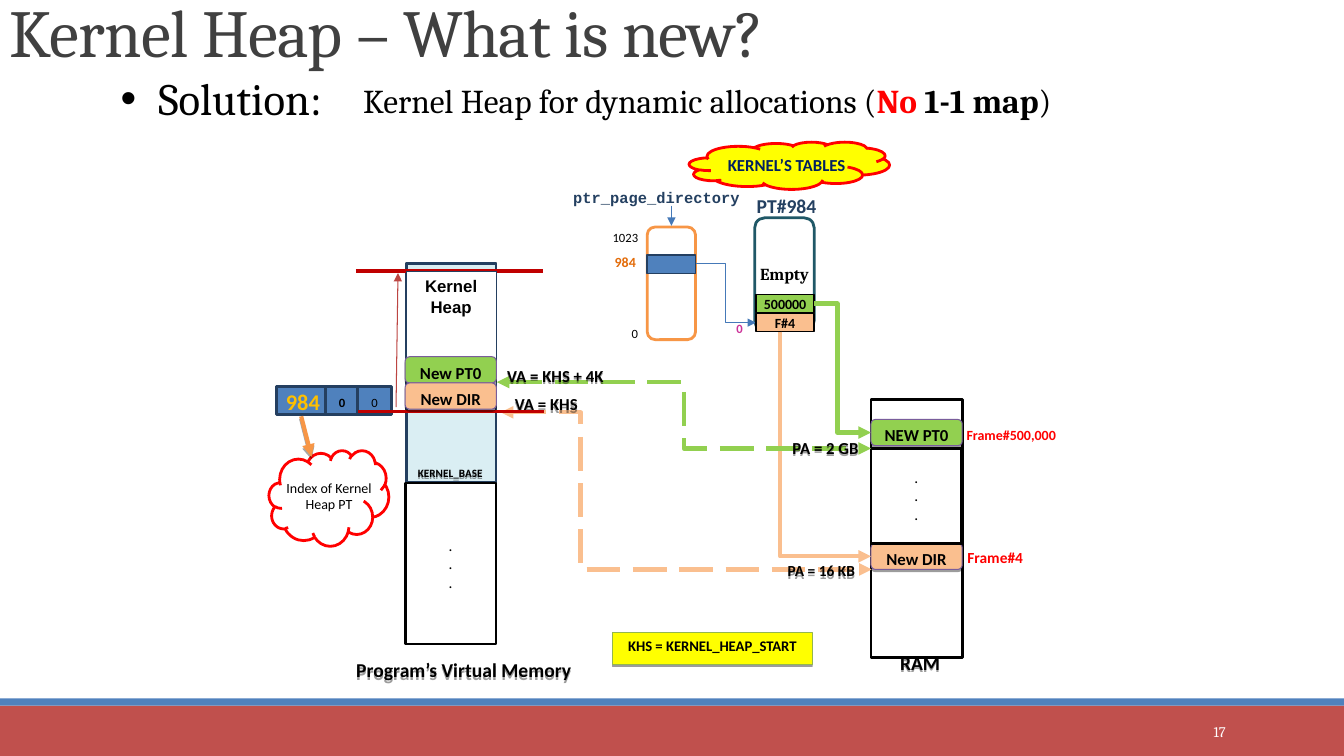
"""Build the slide on the kernel heap, its tables and its frames."""
import pptx
import pptx.util
import pptx.dml.color
import pptx.enum.dml
import pptx.enum.shapes
import pptx.enum.text
import pptx.oxml
import pptx.oxml.ns
from lxml import etree

Cm, Pt = pptx.util.Cm, pptx.util.Pt
KIND = pptx.enum.shapes.MSO_SHAPE
LINK = pptx.enum.shapes.MSO_CONNECTOR
ALIGN = pptx.enum.text.PP_ALIGN
ANCHOR = pptx.enum.text.MSO_ANCHOR
qn = pptx.oxml.ns.qn
INSET = (0.25, 0.13, 0.25, 0.13)
FLAT = (0, 0, 0, 0)
CLOUD_INSET = (-0.08, 0, -0.3, 0)
GREEN, PEACH, BLUE, NAVY = "92D050", "FABF8F", "4F81BD", "243F60"
ROW = 0.46


def color(value):
    """Turn a hex string into a colour."""
    return pptx.dml.color.RGBColor.from_string(value)


def effects(sp, alpha=0, distance=0):
    """Give a shape a downward shadow, or none when alpha is zero."""
    props = sp._element.spPr
    for old in props.findall(qn("a:effectLst")):
        props.remove(old)
    lst = etree.SubElement(props, qn("a:effectLst"))
    if alpha:
        shadow = etree.SubElement(lst, qn("a:outerShdw"), blurRad="0", dist=str(Pt(distance)),
                                  dir="5400000", rotWithShape="0")
        tint = etree.SubElement(shadow, qn("a:srgbClr"), val="000000")
        etree.SubElement(tint, qn("a:alpha"), val=str(alpha * 1000))


def style(r, size, ink, bold=False, font="Calibri"):
    """Format one run."""
    r.font.size, r.font.bold, r.font.name = Pt(size), bold, font
    r.font.color.rgb = color(ink)


def write(sp, text, size, ink="000000", bold=True, font="Calibri",
          align=ALIGN.CENTER, anchor=ANCHOR.TOP, inset=INSET):
    """Set the text of a shape and format its runs."""
    tf = sp.text_frame
    tf.text = text
    tf.word_wrap = True
    tf.vertical_anchor = anchor
    tf.margin_left, tf.margin_top, tf.margin_right, tf.margin_bottom = map(Cm, inset)
    for p in tf.paragraphs:
        p.alignment = align
        for r in p.runs:
            style(r, size, ink, bold, font)


def box(s, at, fill, line=None, width=2, kind=KIND.RECTANGLE):
    """Add a filled preset shape."""
    sp = s.shapes.add_shape(kind, *map(Cm, at))
    sp.shadow.inherit = False
    sp.fill.solid()
    sp.fill.fore_color.rgb = color(fill)
    if line:
        sp.line.color.rgb = color(line)
        sp.line.width = Pt(width)
    else:
        sp.line.fill.background()
    return sp


def label(s, at, text, size, shadow=False, **look):
    """Add a text box."""
    sp = s.shapes.add_textbox(*map(Cm, at))
    write(sp, text, size, **look)
    if shadow:
        effects(sp, 38, 1.6)
    return sp


def page(s, left, top, text, fill):
    """Add a rounded memory page with its name."""
    sp = box(s, (left, top, 2.3, 0.66), fill, "795D9B", 0.75, KIND.ROUNDED_RECTANGLE)
    effects(sp, 38, 1.6)
    write(sp, text, 12, anchor=ANCHOR.MIDDLE, inset=(0.25, 0.13, 0.25, 0))


def block(s, at):
    """Add a stretch of memory with three dots."""
    write(box(s, at, "FFFFFF", "000000"), ".\n.\n.", 11, bold=False, anchor=ANCHOR.MIDDLE)


def cell(s, at, fill, text, size, line="000000", width=1, inset=FLAT, **look):
    """Add a small boxed value."""
    write(box(s, at, fill, line, width), text, size, anchor=ANCHOR.MIDDLE, inset=inset, **look)


def frame(s, at, text, size):
    """Add a red frame number."""
    write(box(s, at, "FFFFFF"), text, size, "FF0000", align=ALIGN.LEFT,
          anchor=ANCHOR.MIDDLE, inset=FLAT)


def cloud(s, at, fill, text, size, **look):
    """Add a red-edged cloud with a remark."""
    sp = box(s, at, fill, "FF0000", 2, KIND.CLOUD)
    write(sp, text, size, anchor=ANCHOR.MIDDLE, inset=CLOUD_INSET, **look)


def link(s, start, end, ink, width, ends=("tailEnd",), bend=None, dashed=False):
    """Add a line, straight or bent at a share of its width."""
    kind = LINK.STRAIGHT if bend is None else LINK.ELBOW
    c = s.shapes.add_connector(kind, *map(Cm, start + end))
    c.line.color.rgb = color(ink)
    c.line.width = Pt(width)
    if dashed:
        c.line.dash_style = pptx.enum.dml.MSO_LINE.LONG_DASH
    for name in ends:
        etree.SubElement(c.line._get_or_add_ln(), qn("a:" + name), type="triangle")
    if bend is not None:
        guides = c._element.spPr.find(qn("a:prstGeom")).get_or_add_avLst()
        etree.SubElement(guides, qn("a:gd"), name="adj1", fmla=f"val {round(bend * 100000)}")
    effects(c)
    return c


def corner(s, start, end, ink, width):
    """Add an arrow that runs down and then right."""
    (x1, y1), (x2, y2) = start, end
    mid_x, mid_y = (x1 + x2) / 2, (y1 + y2) / 2
    half_w, half_h = (y2 - y1) / 2, (x2 - x1) / 2
    c = link(s, (mid_x + half_w, mid_y - half_h), (mid_x - half_w, mid_y + half_h),
             ink, width, bend=0)
    geometry = c._element.spPr.find(qn("a:prstGeom"))
    geometry.set("prst", "bentConnector2")
    geometry.remove(geometry.find(qn("a:avLst")))
    c._element.spPr.find(qn("a:xfrm")).set("rot", "16200000")


def headings(s):
    """Add the bullet and the statement beside it."""
    p = label(s, (2.79, 1.65, 22.86, 1.47), "Solution:", 32, bold=False,
              font="Cambria", align=ALIGN.LEFT).text_frame.paragraphs[0]
    props = p._p.get_or_add_pPr()
    props.set("marL", str(Cm(0.95)))
    props.set("indent", str(-Cm(0.95)))
    etree.SubElement(props, qn("a:buFont"), typeface="Arial")
    etree.SubElement(props, qn("a:buChar"), char="•")
    p = label(s, (8.2, 1.9, 19.25, 1.47), "Kernel Heap for dynamic allocations (", 23.8,
              bold=False, font="Cambria").text_frame.paragraphs[0]
    for text, ink, bold in (("No", "FF0000", True), (" 1-1 map", "000000", True),
                            (")", "000000", False)):
        r = p.add_run()
        r.text = text
        style(r, 23.8, ink, bold, "Cambria")


def memory(s):
    """Add the two memory columns with their captions."""
    box(s, (10.24, 6.65, 2.26, 9.55), "FFFFFF", "000000")
    box(s, (10.24, 6.65, 2.26, 5.51), "DAEEF3", NAVY)
    label(s, (9.8, 11.61, 3.1, 0.61), "KERNEL_BASE", 8, shadow=True)
    box(s, (21.95, 10.06, 2.31, 6.5), "FFFFFF", "000000")
    link(s, (12.62, 10.39), (21.97, 14.35), PEACH, 3, ("headEnd", "tailEnd"), 0.215, True)
    note = box(s, (15.44, 15.93, 5.03, 0.81), "FFFF00", "94B64E", 0.75)
    effects(note, 38, 1.6)
    write(note, "KHS = KERNEL_HEAP_START", 10.5)
    label(s, (12.22, 9.8, 3.1, 0.61), "VA = KHS", 12, shadow=True)
    label(s, (8.64, 16.46, 6.1, 1.42), "Program’s Virtual Memory", 14, shadow=True)
    label(s, (21.64, 16.26, 3.1, 1.04), "RAM", 14, shadow=True)


def directory(s):
    """Add the page directory and the split address."""
    box(s, (16.31, 5.72, 1.22, 2.84), "FFFFFF", "F79646", 2, KIND.ROUNDED_RECTANGLE)
    label(s, (15.67, 8.08, 0.61, 0.66), "0", 9, bold=False, align=ALIGN.RIGHT)
    label(s, (15.19, 5.66, 1.42, 0.64), "1023", 9, bold=False, align=ALIGN.LEFT)
    write(box(s, (13.97, 4.62, 4.93, 0.69), "FFFFFF"), "ptr_page_directory", 11, "244061",
          font="Courier New", align=ALIGN.RIGHT)
    link(s, (16.92, 5.18), (16.92, 5.69), "4579B8", 0.75)
    for left, width, text, size, ink, bold, top in (
            (6.96, 1.35, "984", 16, "FFC000", True, 0.05),
            (8.2, 0.84, "0", 9, "000000", True, 0.13),
            (9.02, 0.84, "0", 9, "000000", False, 0.13)):
        cell(s, (left, 9.73, width, 0.71), BLUE, text, size, NAVY, 2, (0, top, 0, 0),
             ink=ink, bold=bold)
    cloud(s, (6.78, 11.35, 3.02, 2.41), "FFFFFF", "Index of Kernel Heap PT", 10, bold=False)
    effects(link(s, (7.59, 10.49), (7.85, 11.51), "F79646", 3), 35, 1.8)


def heap(s):
    """Add the heap and its limits."""
    link(s, (8.97, 6.83), (13.69, 6.83), "C00000", 2.25, ())
    link(s, (9.02, 10.36), (13.72, 10.36), "C00000", 2.25, ())
    write(box(s, (10.24, 6.83, 2.26, 3.45), "FFFFFF", NAVY, 0.5), "Kernel Heap", 12, font="Arial")
    link(s, (9.98, 10.26), (10.03, 6.88), "BC4542", 0.75)


def page_table(s):
    """Add the page table and its entry in the directory."""
    label(s, (15.24, 6.27, 1.42, 0.64), "984", 10, ink="E36C0A", align=ALIGN.LEFT)
    box(s, (16.31, 6.43, 1.22, ROW), BLUE, NAVY, 1)
    table = box(s, (19.02, 5.49, 1.5, 2.84), "FFFFFF", "205867", 2, KIND.ROUNDED_RECTANGLE)
    write(table, "Empty", 12, font="Cambria", anchor=ANCHOR.MIDDLE, inset=(0, 0.13, 0, 0.13))
    write(box(s, (18.82, 4.75, 2.82, 0.64), "FFFFFF"), "PT#984", 14, "244061", align=ALIGN.LEFT)
    link(s, (17.53, 6.65), (19.05, 8.13), "4579B8", 0.75, bend=0.5)
    label(s, (18.31, 7.95, 0.61, 0.66), "0", 9, ink="CC3399", align=ALIGN.LEFT)
    cloud(s, (17.37, 3.58, 5.05, 1.19), "FFFF00", "KERNEL’S TABLES", 12, ink="002060")


def mappings(s):
    """Add the pages in both memories and the arrows between them."""
    page(s, 21.95, 13.69, "New DIR", PEACH)
    label(s, (19.25, 14.02, 2.9, 0.61), "PA = 16 KB", 11, shadow=True)
    frame(s, (24.38, 13.77, 1.45, 0.56), "Frame#4", 11)
    block(s, (21.95, 11.3, 2.29, 2.39))
    cell(s, (19.05, 7.42, 1.47, ROW), GREEN, "500000", 10)
    link(s, (20.52, 7.65), (21.95, 10.9), GREEN, 3, bend=0.41)
    cell(s, (19.05, 7.9, 1.47, ROW), PEACH, "F#4", 10)
    corner(s, (19.66, 8.36), (21.95, 14.02), PEACH, 3)
    block(s, (10.21, 12.17, 2.29, 4.06))
    page(s, 21.95, 10.57, "NEW PT0", GREEN)
    frame(s, (24.36, 10.72, 2.36, ROW), "Frame#500,000", 10)
    page(s, 10.21, 8.99, "New PT0", GREEN)
    link(s, (12.52, 9.63), (21.95, 11.3), GREEN, 3, ("headEnd", "tailEnd"), 0.5, True)
    label(s, (19.46, 10.9, 2.69, 0.61), "PA = 2 GB", 12, shadow=True)
    label(s, (12.45, 9.09, 3.1, 0.61), "VA = KHS + 4K", 12, shadow=True)
    page(s, 10.21, 9.65, "New DIR", PEACH)


def main():
    """Build and save the deck."""
    prs = pptx.Presentation()
    prs.slide_width, prs.slide_height = Cm(33.87), Cm(19.05)
    s = prs.slides.add_slide(prs.slide_layouts[6])
    box(s, (0, 17.78, 33.87, 1.27), "C0504D")
    box(s, (0, 17.6, 33.87, 0.18), BLUE)
    for part in (headings, memory, directory, heap, page_table, mappings):
        part(s)
    label(s, (27.51, 17.93, 3.63, 1.02), "17", 10.5, ink="FFFFFF", bold=False,
          font="Cambria", align=ALIGN.RIGHT, anchor=ANCHOR.MIDDLE)
    p = label(s, (0, -0.05, 33.48, 2.06), "Kernel Heap – What is new?", 48, ink="404040",
              bold=False, font="Cambria", align=ALIGN.LEFT).text_frame.paragraphs[0]
    p.line_spacing = 0.85
    p.runs[0]._r.get_or_add_rPr().set("spc", "-50")
    prs.save("out.pptx")


if __name__ == "__main__":
    main()
